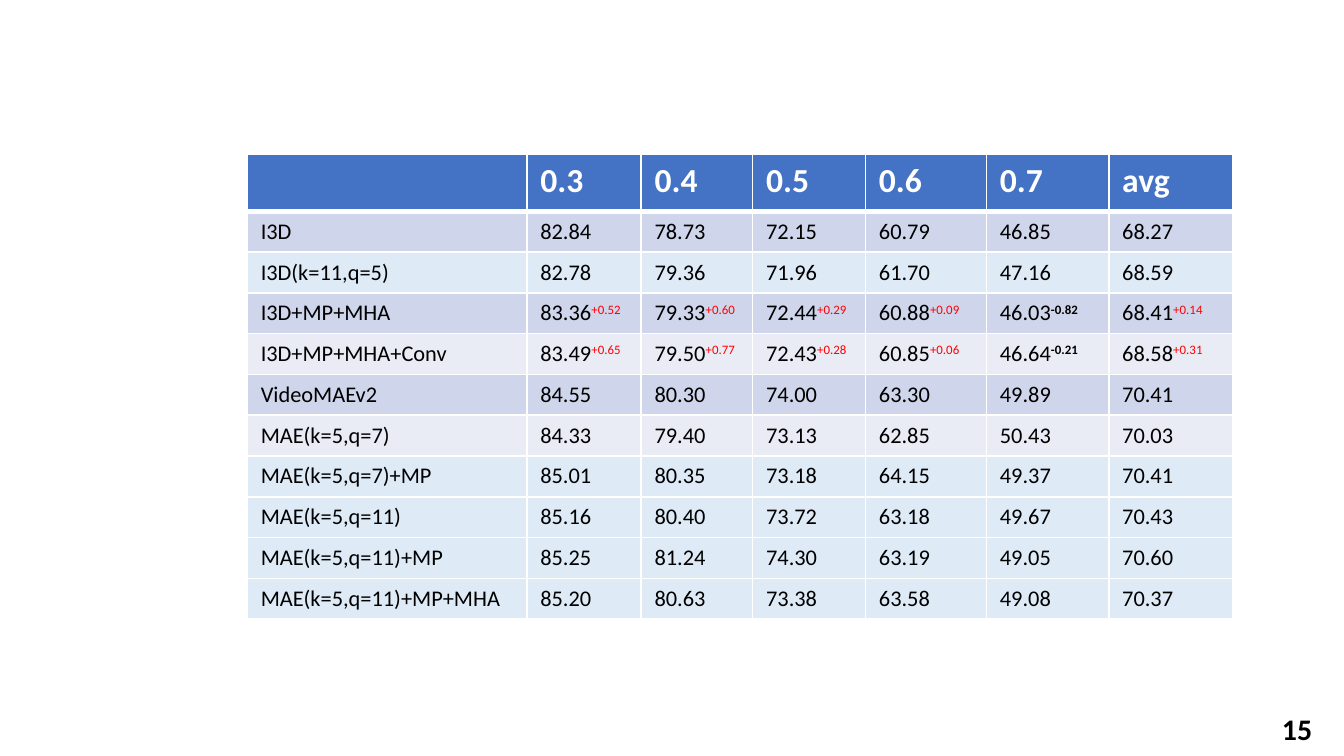
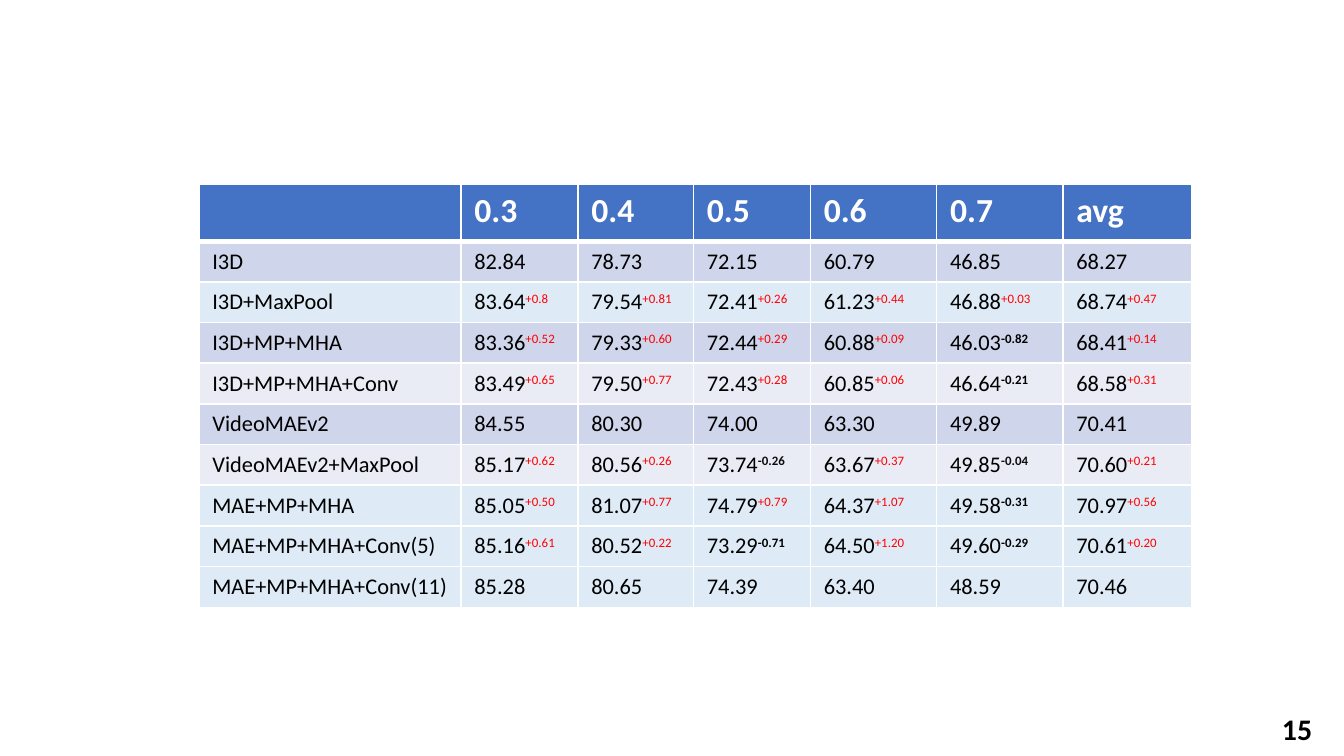
from itertools import accumulate

from lxml import etree
from pptx import Presentation
from pptx.dml.color import RGBColor
from pptx.oxml.ns import qn
from pptx.util import Inches, Pt

SLIDE_W = Inches(10)
SLIDE_H = SLIDE_W * 9 // 16
FONT = "Calibri"
COLORS = {
    "header": "4472C4",
    "lilac": "CFD5EA",
    "pale": "E9EBF5",
    "sky": "DEEBF7",
    "white": "FFFFFF",
    "black": "000000",
    "soft_black": "0D0D0D",
    "gain": "FF0000",
}

HEADER = ["", "0.3", "0.4", "0.5", "0.6", "0.7", "avg"]
HEADER_ROWS, BODY_ROWS = 7, 5  # relative row heights
FIRST_FILLS = ["lilac", "sky", "lilac", "pale", "lilac", "pale"]
REST_FILL = "sky"
LOSS_COLORS = {"VideoMAEv2+MaxPool": "soft_black"}

# Boxes are left, top, width, height in percent of the slide
PAGE_BOX = (94.4, 93.16, 4.7, 5.69)
PAGE_NUMBER = "15"

# Each row: model, then scores with an optional signed change
SHARED_ROWS = """
I3D+MP+MHA 83.36+0.52 79.33+0.60 72.44+0.29 60.88+0.09 46.03-0.82 68.41+0.14
I3D+MP+MHA+Conv 83.49+0.65 79.50+0.77 72.43+0.28 60.85+0.06 46.64-0.21 68.58+0.31
VideoMAEv2 84.55 80.30 74.00 63.30 49.89 70.41
"""
BASELINE = "I3D 82.84 78.73 72.15 60.79 46.85 68.27\n"

KERNEL_TABLE = {
    "box": (18.4, 20.4, 73.3, 61.4),
    "cols": [2.08, 0.85, 0.83, 0.84, 0.9, 0.91, 0.92],
    "rows": BASELINE + """
I3D(k=11,q=5) 82.78 79.36 71.96 61.70 47.16 68.59
""" + SHARED_ROWS + """
MAE(k=5,q=7) 84.33 79.40 73.13 62.85 50.43 70.03
MAE(k=5,q=7)+MP 85.01 80.35 73.18 64.15 49.37 70.41
MAE(k=5,q=11) 85.16 80.40 73.72 63.18 49.67 70.43
MAE(k=5,q=11)+MP 85.25 81.24 74.30 63.19 49.05 70.60
MAE(k=5,q=11)+MP+MHA 85.20 80.63 73.38 63.58 49.08 70.37
""",
}
POOLING_TABLE = {
    "box": (14.8, 24.36, 73.9, 56),
    "cols": [1.95, 0.87, 0.86, 0.87, 0.94, 0.94, 0.96],
    "rows": BASELINE + """
I3D+MaxPool 83.64+0.8 79.54+0.81 72.41+0.26 61.23+0.44 46.88+0.03 68.74+0.47
""" + SHARED_ROWS + """
VideoMAEv2+MaxPool 85.17+0.62 80.56+0.26 73.74-0.26 63.67+0.37 49.85-0.04 70.60+0.21
MAE+MP+MHA 85.05+0.50 81.07+0.77 74.79+0.79 64.37+1.07 49.58-0.31 70.97+0.56
MAE+MP+MHA+Conv(5) 85.16+0.61 80.52+0.22 73.29-0.71 64.50+1.20 49.60-0.29 70.61+0.20
MAE+MP+MHA+Conv(11) 85.28 80.65 74.39 63.40 48.59 70.46
""",
}


def rgb(name):
    return RGBColor.from_string(COLORS[name])


def place(box):
    x, y, w, h = box
    return [int(share * size / 100) for share, size in
            ((x, SLIDE_W), (y, SLIDE_H), (w, SLIDE_W), (h, SLIDE_H))]


def split_length(total, weights):
    """Divide a length by weights, without rounding drift."""
    edges = [0] + [round(total * s / sum(weights)) for s in accumulate(weights)]
    return [b - a for a, b in zip(edges, edges[1:])]


def style_font(font, size, color, bold=False):
    font.name, font.size, font.bold = FONT, Pt(size), bold
    font.color.rgb = rgb(color)


def add_run(p, text, size, color, bold=False, raised=False):
    r = p.add_run()
    r.text = text
    style_font(r.font, size, color, bold)
    if raised:
        r.font._element.set("baseline", "30000")


def style_cell(cell, fill, top=1, bottom=1):
    tc_pr = cell._tc.get_or_add_tcPr()
    for side, width in (("L", 1), ("R", 1), ("T", top), ("B", bottom)):
        ln = etree.SubElement(tc_pr, qn(f"a:ln{side}"), w=str(Pt(width)))
        line_fill = etree.SubElement(ln, qn("a:solidFill"))
        etree.SubElement(line_fill, qn("a:srgbClr"), val=COLORS["white"])
    cell.fill.solid()
    cell.fill.fore_color.rgb = rgb(fill)


def add_score(p, value, loss_color):
    """Write a score, with its change raised: gains red, losses bold."""
    sign = "-" if "-" in value else "+"
    score, _, change = value.partition(sign)
    add_run(p, score, 12, "black")
    if change:
        loss = sign == "-"
        add_run(p, sign + change, 12, loss_color if loss else "gain", loss, True)


def add_results_table(slide, box, cols, rows):
    records = [line.split() for line in rows.splitlines() if line]
    x, y, w, h = place(box)
    table = slide.shapes.add_table(len(records) + 1, len(cols), x, y, w, h).table
    table.horz_banding = False
    for col, width in zip(table.columns, split_length(w, cols)):
        col.width = width
    heights = split_length(h, [HEADER_ROWS] + [BODY_ROWS] * len(records))
    for row, height in zip(table.rows, heights):
        row.height = height

    # Header row
    for cell, text in zip(table.rows[0].cells, HEADER):
        style_cell(cell, "header", bottom=3)
        p = cell.text_frame.paragraphs[0]
        if text:
            add_run(p, text, 18, "white", True)
        else:
            style_font(p.font, 18, "white", True)

    # Model rows
    for i, (model, *scores) in enumerate(records):
        fill = FIRST_FILLS[i] if i < len(FIRST_FILLS) else REST_FILL
        cells = list(table.rows[i + 1].cells)
        for cell in cells:
            style_cell(cell, fill, top=1 if i else 3)
        add_run(cells[0].text_frame.paragraphs[0], model, 12, "black")
        for cell, value in zip(cells[1:], scores):
            add_score(cell.text_frame.paragraphs[0], value,
                      LOSS_COLORS.get(model, "black"))


def add_page_number(slide, box):
    tf = slide.shapes.add_textbox(*place(box)).text_frame
    tf.word_wrap = True
    add_run(tf.paragraphs[0], PAGE_NUMBER, 16, "black", True)


def add_results_slide(prs, results):
    slide = prs.slides.add_slide(prs.slide_layouts[6])
    slide.background.fill.solid()
    slide.background.fill.fore_color.rgb = rgb("white")
    add_results_table(slide, **results)
    add_page_number(slide, PAGE_BOX)


def main():
    prs = Presentation()
    prs.slide_width, prs.slide_height = SLIDE_W, SLIDE_H
    for results in (KERNEL_TABLE, POOLING_TABLE):
        add_results_slide(prs, results)
    prs.save("out.pptx")


if __name__ == "__main__":
    main()
